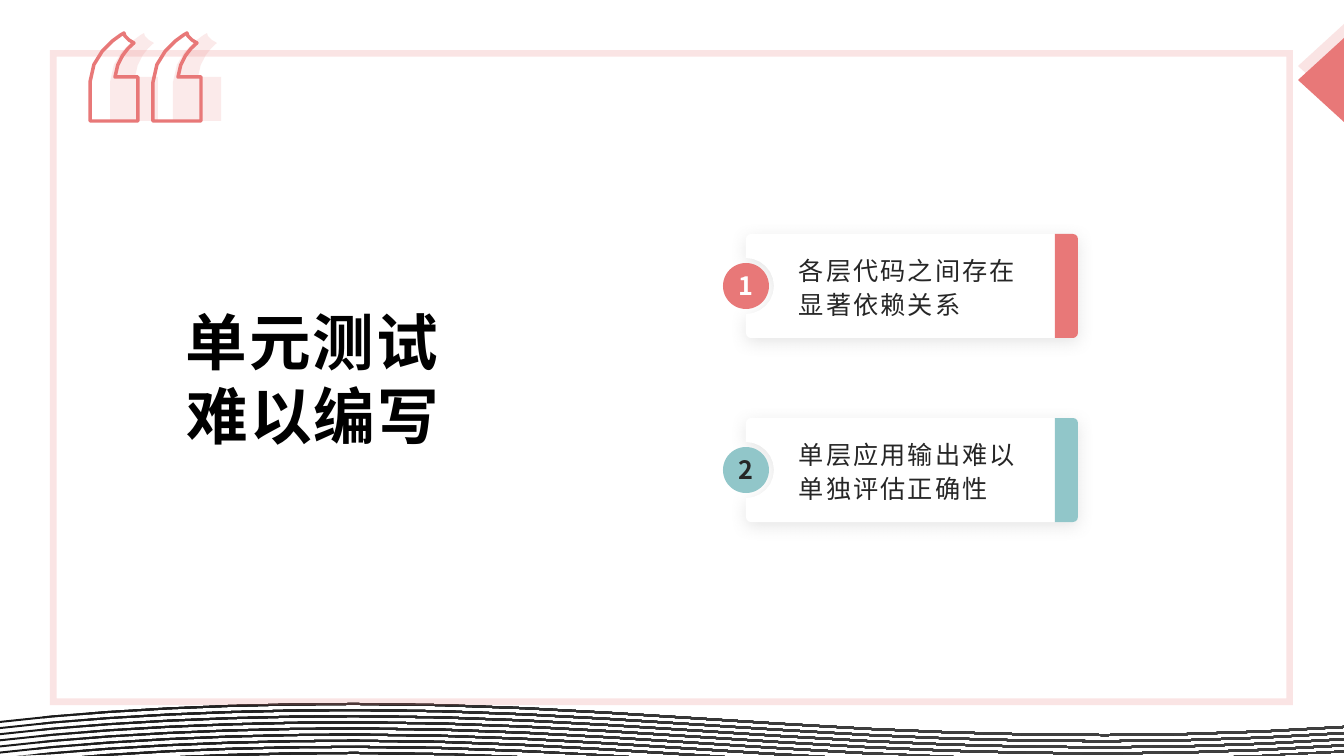
from dataclasses import dataclass
from itertools import groupby, pairwise
from math import cos, radians, sin

from pptx import Presentation, util as u
from pptx.dml.color import RGBColor
from pptx.enum import shapes, text
from pptx.oxml import parse_xml
from pptx.oxml.ns import nsdecls, qn
from pptx.oxml.xmlchemy import OxmlElement
from pptx.shapes.autoshape import Shape

Point = tuple[float, float]
Contour = list[Point]
Box = tuple[int, int, int, int]

PX_PER_INCH = 100.8
SLIDE_WIDTH, SLIDE_HEIGHT = 1344, 756
FONT = "Noto Sans CJK SC"
CORAL, PALE_CORAL, TEAL = "E87878", "FAE4E4", "91C6C9"
WHITE, BLACK, DARK = "FFFFFF", "000000", "262626"

CARD_LEFT, CARD_TOP, CARD_WIDTH, CARD_HEIGHT = 746, 234, 332, 104
CARD_PITCH, CORNER, NOTCH_RADIUS, BAR_WIDTH = 184, 5, 28, 23
BADGE_SIZE = 46

WAVE_COUNT, WAVE_SPREAD, WAVE_THICKNESS, WAVE_SAMPLES = 9, 49, 2, 6
WAVE_CURVES: list[Contour] = [
    [(0, 721), (100, 709), (230, 703), (355, 703)],
    [(355, 703), (530, 703), (680, 718), (870, 728)],
    [(870, 728), (1030, 736), (1180, 737), (1344, 726)],
]
QUOTE_TOP, QUOTE_PITCH, QUOTE_SAMPLES = 33, 63, 5


@dataclass(frozen=True)
class TextStyle:
    size: int
    color: str
    spacing: int
    bold: bool = False
    centered: bool = False
    line_spacing: float | None = None
    insets: tuple[int, int] | None = None


@dataclass(frozen=True)
class Card:
    number: str
    label: str
    color: str
    number_color: str


CARDS = [
    Card("1", "各层代码之间存在显著依赖关系", CORAL, WHITE),
    Card("2", "单层应用输出难以单独评估正确性", TEAL, DARK),
]


def px(length: float) -> int:
    return round(length * u.Inches(1) / PX_PER_INCH)


def rgb(color: str) -> RGBColor:
    return RGBColor.from_string(color)


def bezier(points: Contour, samples: int) -> Contour:
    def at(t: float, axis: int) -> float:
        a, b, c, d = (point[axis] for point in points)
        s = 1 - t
        return a * s**3 + 3 * b * s * s * t + 3 * c * s * t * t + d * t**3

    return [(at(i / samples, 0), at(i / samples, 1)) for i in range(samples + 1)]


def arc(x: float, y: float, radius: int, start: int, end: int, steps: int = 3) -> Contour:
    angles = [radians(start + (end - start) * i / steps) for i in range(steps + 1)]
    return [(x + radius * cos(angle), y + radius * sin(angle)) for angle in angles]


def clip_to_slide(line: Contour) -> list[Contour]:
    points = line[:1]
    for (x0, y0), (x1, y1) in pairwise(line):
        if (y0 < SLIDE_HEIGHT) != (y1 < SLIDE_HEIGHT):
            points.append((x0 + (x1 - x0) * (SLIDE_HEIGHT - y0) / (y1 - y0), SLIDE_HEIGHT))
        points.append((x1, y1))
    runs = groupby(points, key=lambda point: point[1] <= SLIDE_HEIGHT)
    return [list(run) for visible, run in runs if visible]


def paint(shape: Shape, color: str | None, opacity: int = 100) -> None:
    shape.shadow.inherit = False
    shape.line.fill.background()
    if color is None:
        shape.fill.background()
        return
    shape.fill.solid()
    shape.fill.fore_color.rgb = rgb(color)
    if opacity < 100:
        alpha = OxmlElement("a:alpha")
        alpha.set("val", str(opacity * 1000))
        shape._element.spPr.find(qn("a:solidFill"))[0].append(alpha)


def add_preset(parent, kind: shapes.MSO_SHAPE, box: Box, color: str, opacity: int = 100) -> Shape:
    shape = parent.add_shape(kind, *map(px, box))
    paint(shape, color, opacity)
    return shape


def add_outline(parent, contours: list[Contour], color: str | None, opacity: int = 100) -> Shape:
    scaled = [[(px(x), px(y)) for x, y in contour] for contour in contours]
    builder = parent.build_freeform(*scaled[0][0], scale=1.0)
    for index, contour in enumerate(scaled):
        if index:
            builder.move_to(*contour[0])
        builder.add_line_segments(contour[1:], close=True)
    shape = builder.convert_to_shape()
    paint(shape, color, opacity)
    return shape


def add_text(parent, box: Box, content: str, style: TextStyle) -> None:
    frame = parent.add_textbox(*map(px, box)).text_frame
    frame.word_wrap = True
    frame.vertical_anchor = text.MSO_ANCHOR.MIDDLE
    if style.insets is not None:
        frame.margin_left = frame.margin_right = px(style.insets[0])
        frame.margin_top = frame.margin_bottom = px(style.insets[1])
    frame.text = content
    paragraph = frame.paragraphs[0]
    if style.centered:
        paragraph.alignment = text.PP_ALIGN.CENTER
    if style.line_spacing:
        paragraph.line_spacing = style.line_spacing
    run = paragraph.runs[0]
    run.font.size = u.Pt(style.size)
    run.font.bold = style.bold
    run.font.name = FONT
    run.font.color.rgb = rgb(style.color)
    properties = run._r.get_or_add_rPr()
    properties.set("spc", str(style.spacing))
    east_asian = OxmlElement("a:ea")
    east_asian.set("typeface", FONT)
    properties.find(qn("a:latin")).addnext(east_asian)


def add_waves(parent) -> None:
    crest = WAVE_CURVES[0][:1]
    for curve in WAVE_CURVES:
        crest += bezier(curve, WAVE_SAMPLES)[1:]
    contours: list[Contour] = []
    for index in range(WAVE_COUNT):
        drop = index * WAVE_SPREAD / (WAVE_COUNT - 1)
        for upper in clip_to_slide([(x, y + drop) for x, y in crest]):
            lower = [(x, min(y + WAVE_THICKNESS, SLIDE_HEIGHT)) for x, y in reversed(upper)]
            contours.append(upper + lower)
    waves = add_outline(parent, contours, DARK)
    waves.fill.gradient()
    waves.fill.gradient_angle = 350
    for stop, position, color in zip(waves.fill.gradient_stops, (0, 0.67), ("191919", "404040")):
        stop.position = position
        stop.color.rgb = rgb(color)


def quote_marks(left: int) -> list[Contour]:
    mark = [
        (34, 0), (35, 3), (39, 7), (44, 10),
        *bezier([(44, 10), (44, 10), (27, 22), (25, 44)], QUOTE_SAMPLES)[1:],
        (48, 44), (48, 88), (0, 88),
        *bezier([(0, 49), (1, 17), (34, 0), (34, 0)], QUOTE_SAMPLES)[:-1],
    ]
    return [[(left + shift + x, QUOTE_TOP + y) for x, y in mark] for shift in (0, QUOTE_PITCH)]


def add_card(parent, card: Card, top: int) -> None:
    right, bottom, middle = CARD_LEFT + CARD_WIDTH, top + CARD_HEIGHT, top + CARD_HEIGHT // 2
    right_side = [
        *arc(right - CORNER, top + CORNER, CORNER, -90, 0),
        *arc(right - CORNER, bottom - CORNER, CORNER, 0, 90),
    ]
    left_side = [
        *arc(CARD_LEFT + CORNER, bottom - CORNER, CORNER, 90, 180),
        *arc(CARD_LEFT, middle, NOTCH_RADIUS, 90, -90, steps=12),
        *arc(CARD_LEFT + CORNER, top + CORNER, CORNER, 180, 270),
    ]
    body = add_outline(parent, [right_side + left_side], WHITE)
    body._element.spPr.find(qn("a:effectLst")).append(parse_xml(
        f'<a:outerShdw {nsdecls("a")} blurRad="{u.Pt(12)}" dist="{u.Pt(3)}" dir="5400000"'
        ' algn="t" rotWithShape="0"><a:srgbClr val="808080"><a:alpha val="20000"/>'
        "</a:srgbClr></a:outerShdw>"))
    bar_left = right - BAR_WIDTH
    add_outline(parent, [[(bar_left, top), *right_side, (bar_left, bottom)]], card.color)
    half = BADGE_SIZE // 2
    add_preset(parent, shapes.MSO_SHAPE.OVAL,
               (CARD_LEFT - half, middle - half, BADGE_SIZE, BADGE_SIZE), card.color)
    add_text(parent, (CARD_LEFT + 43, top + 12, 244, 80), card.label,
             TextStyle(18, DARK, 150, line_spacing=1.1))
    add_text(parent, (CARD_LEFT - 20, top + 33, 40, 37), card.number,
             TextStyle(18, card.number_color, 300, bold=True, centered=True, insets=(0, 0)))


def main() -> None:
    presentation = Presentation()
    presentation.slide_width, presentation.slide_height = px(SLIDE_WIDTH), px(SLIDE_HEIGHT)
    tree = presentation.slides.add_slide(presentation.slide_layouts[6]).shapes
    add_waves(tree)
    corner = tree.add_group_shape().shapes
    for top, color in ((43, PALE_CORAL), (57, CORAL)):
        triangle = add_preset(corner, shapes.MSO_SHAPE.ISOSCELES_TRIANGLE, (1279, top, 84, 46), color)
        triangle.rotation = 270
    border = add_preset(tree, shapes.MSO_SHAPE.FRAME, (50, 50, 1243, 655), CORAL, 20)
    border.adjustments[0] = 0.01
    add_outline(tree, quote_marks(110), CORAL, 15)
    quote = add_outline(tree, quote_marks(90), None)
    quote.line.color.rgb = rgb(CORAL)
    quote.line.width = u.Pt(2.5)
    add_text(tree, (151, 302, 324, 151), "单元测试难以编写",
             TextStyle(44, BLACK, 160, bold=True, centered=True, insets=(7, 3)))
    for index, card in enumerate(CARDS):
        add_card(tree, card, CARD_TOP + index * CARD_PITCH)
    presentation.save("out.pptx")


if __name__ == "__main__":
    main()
